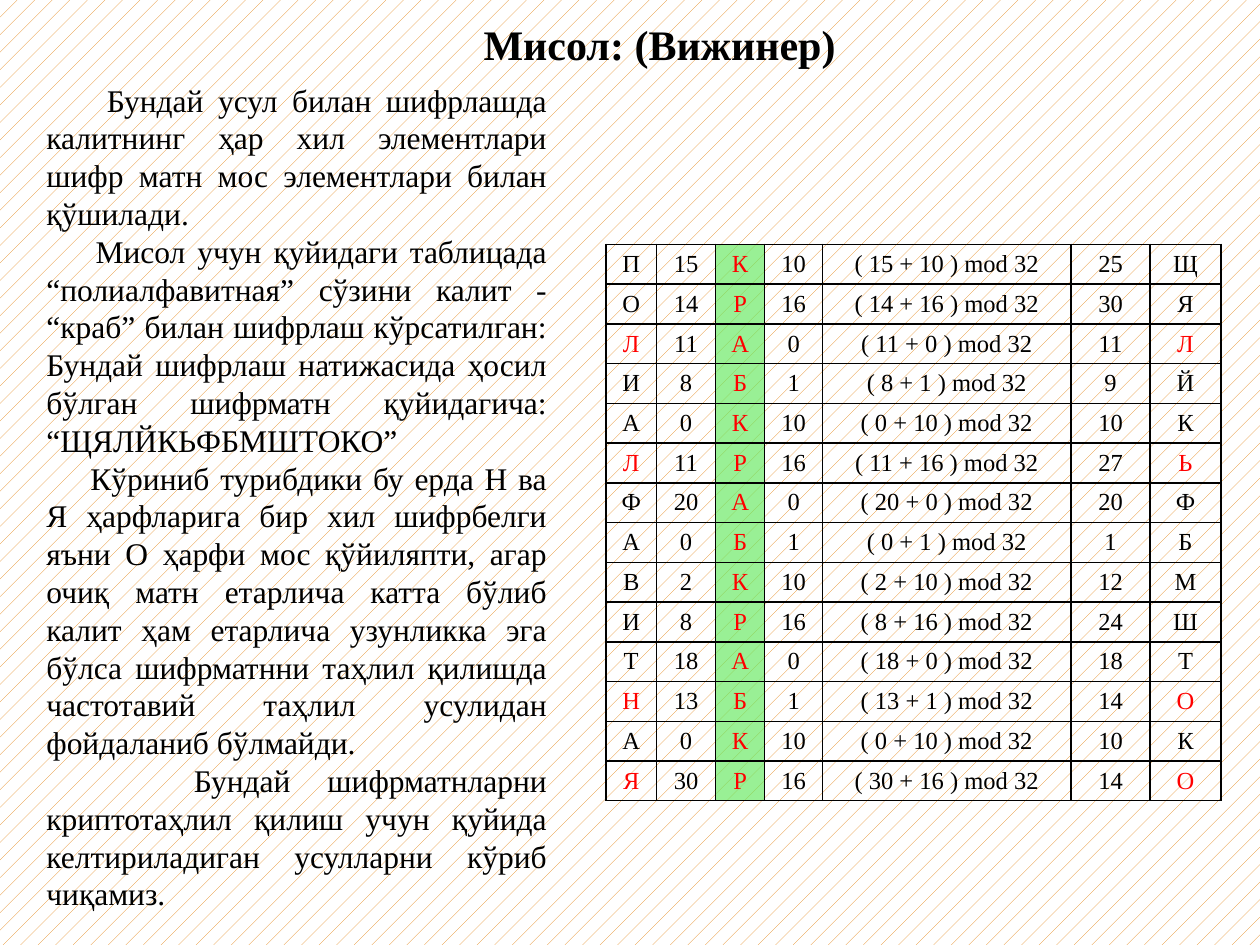
from dataclasses import dataclass

import pptx
import pptx.dml.color
import pptx.enum.dml
import pptx.enum.text
import pptx.oxml
import pptx.oxml.ns
import pptx.util
from pptx.util import Inches

FONT = "Times New Roman"
BLACK, RED, GREEN = "000000", "FF0000", "6EEA68"
ALIGN = pptx.enum.text.PP_ALIGN

# Cipher: each letter's number is its place in the alphabet
ALPHABET = "АБВГДЕЖЗИЙКЛМНОПРСТУФХЦЧШЩЪЬЭЮЯ"
PLAIN_TEXT = "ПОЛИАЛФАВИТНАЯ"
KEY = "КРАБ"
MODULUS = 32
MARKED_LETTERS = "ЛНЯ"
KEY_COLUMN = 2
COLUMN_WIDTHS = (0.4, 0.47, 0.39, 0.46, 1.97, 0.63, 0.56)


@dataclass
class Paragraph:
    text: str
    first_indent: float = 0


@dataclass
class TextBlock:
    left: float
    top: float
    width: float
    height: float
    paragraphs: list[Paragraph]
    size: int
    align: ALIGN
    bold: bool = False


TITLE = TextBlock(3.58, 0.1, 3.31, 0.5, [Paragraph("Мисол: (Вижинер)")],
                  24, ALIGN.CENTER, True)
EXPLANATION = TextBlock(0.27, 0.59, 4.17, 6.71, [
    Paragraph("Бундай усул билан шифрлашда калитнинг ҳар хил элементлари "
              "шифр матн мос элементлари билан қўшилади.", 0.48),
    Paragraph("Мисол учун қуйидаги таблицада “полиалфавитная” сўзини калит - "
              "“краб” билан шифрлаш кўрсатилган: Бундай шифрлаш натижасида "
              "ҳосил бўлган шифрматн қуйидагича: “ЩЯЛЙКЬФБМШТОКО”", 0.39),
    Paragraph("Кўриниб турибдики бу ерда Н ва Я ҳарфларига бир хил шифрбелги "
              "яъни О ҳарфи мос қўйиляпти, агар очиқ матн етарлича катта бўлиб "
              "калит ҳам етарлича узунликка эга бўлса шифрматнни таҳлил қилишда "
              "частотавий таҳлил усулидан фойдаланиб бўлмайди.", 0.35),
    Paragraph("Бундай шифрматнларни криптотаҳлил қилиш учун қуйида "
              "келтириладиган усулларни кўриб чиқамиз.", 1.17),
], 18, ALIGN.JUSTIFY)


def color(value: str) -> pptx.dml.color.RGBColor:
    return pptx.dml.color.RGBColor.from_string(value)


def add_run(para, text: str, size: int, tone: str = BLACK, bold: bool = False) -> None:
    span = para.add_run()
    span.text = text
    span.font.name = FONT
    span.font.size = pptx.util.Pt(size)
    span.font.bold = bold
    span.font.color.rgb = color(tone)


def add_text(page, block: TextBlock) -> None:
    box = page.shapes.add_textbox(Inches(block.left), Inches(block.top),
                                  Inches(block.width), Inches(block.height))
    frame = box.text_frame
    frame.word_wrap = True
    for index, item in enumerate(block.paragraphs):
        para = frame.add_paragraph() if index else frame.paragraphs[0]
        para.alignment = block.align
        if item.first_indent:
            para._p.get_or_add_pPr().set("indent", str(Inches(item.first_indent)))
        add_run(para, item.text, block.size, bold=block.bold)


def cipher_row(index: int) -> list[str]:
    letter, key_letter = PLAIN_TEXT[index], KEY[index % len(KEY)]
    number, shift = ALPHABET.index(letter), ALPHABET.index(key_letter)
    total = (number + shift) % MODULUS
    return [letter, str(number), key_letter, str(shift),
            f"( {number} + {shift} ) mod {MODULUS}", str(total), ALPHABET[total]]


def add_borders(cell) -> None:
    properties = cell._tc.get_or_add_tcPr()
    for position, side in enumerate(("lnL", "lnR", "lnT", "lnB")):
        properties.insert(position, pptx.oxml.parse_xml(
            f'<a:{side} {pptx.oxml.ns.nsdecls("a")} w="{pptx.util.Pt(1)}">'
            f'<a:solidFill><a:srgbClr val="{BLACK}"/></a:solidFill></a:{side}>'))


def fill_key_cell(cell) -> None:
    cell.fill.solid()
    cell.fill.fore_color.rgb = color(GREEN)
    tone = cell._tc.tcPr.find(".//" + pptx.oxml.ns.qn("a:srgbClr"))
    tone.append(pptx.oxml.parse_xml(
        f'<a:alpha {pptx.oxml.ns.nsdecls("a")} val="70000"/>'))


def add_cipher_table(page) -> None:
    frame = page.shapes.add_table(len(PLAIN_TEXT), len(COLUMN_WIDTHS), Inches(4.81),
                                  Inches(1.94), Inches(4.89), Inches(4.67))
    table = frame.table
    table.first_row = table.horz_banding = False
    for column, width in zip(table.columns, COLUMN_WIDTHS):
        column.width = Inches(width)
    for index, row in enumerate(table.rows):
        row.height = Inches(0.25)
        red_columns = {KEY_COLUMN}
        if PLAIN_TEXT[index] in MARKED_LETTERS:
            red_columns |= {0, len(COLUMN_WIDTHS) - 1}
        for position, text in enumerate(cipher_row(index)):
            cell = table.cell(index, position)
            if position == KEY_COLUMN:
                fill_key_cell(cell)
            else:
                cell.fill.background()
            add_borders(cell)
            para = cell.text_frame.paragraphs[0]
            para.alignment = ALIGN.CENTER
            add_run(para, text, 14, RED if position in red_columns else BLACK)
    frame.height = Inches(4.67)


def main() -> None:
    deck = pptx.Presentation()
    deck.slide_width, deck.slide_height = Inches(10), Inches(7.5)
    page = deck.slides.add_slide(deck.slide_layouts[6])

    # Patterned background
    fill = page.background.fill
    fill.patterned()
    fill.pattern = pptx.enum.dml.MSO_PATTERN.PERCENT_5
    fill.fore_color.rgb = color("E48312")
    fill.back_color.rgb = color("FFFFFF")

    # Cipher table, explanation and title
    add_cipher_table(page)
    add_text(page, EXPLANATION)
    add_text(page, TITLE)
    deck.save("out.pptx")


if __name__ == "__main__":
    main()
